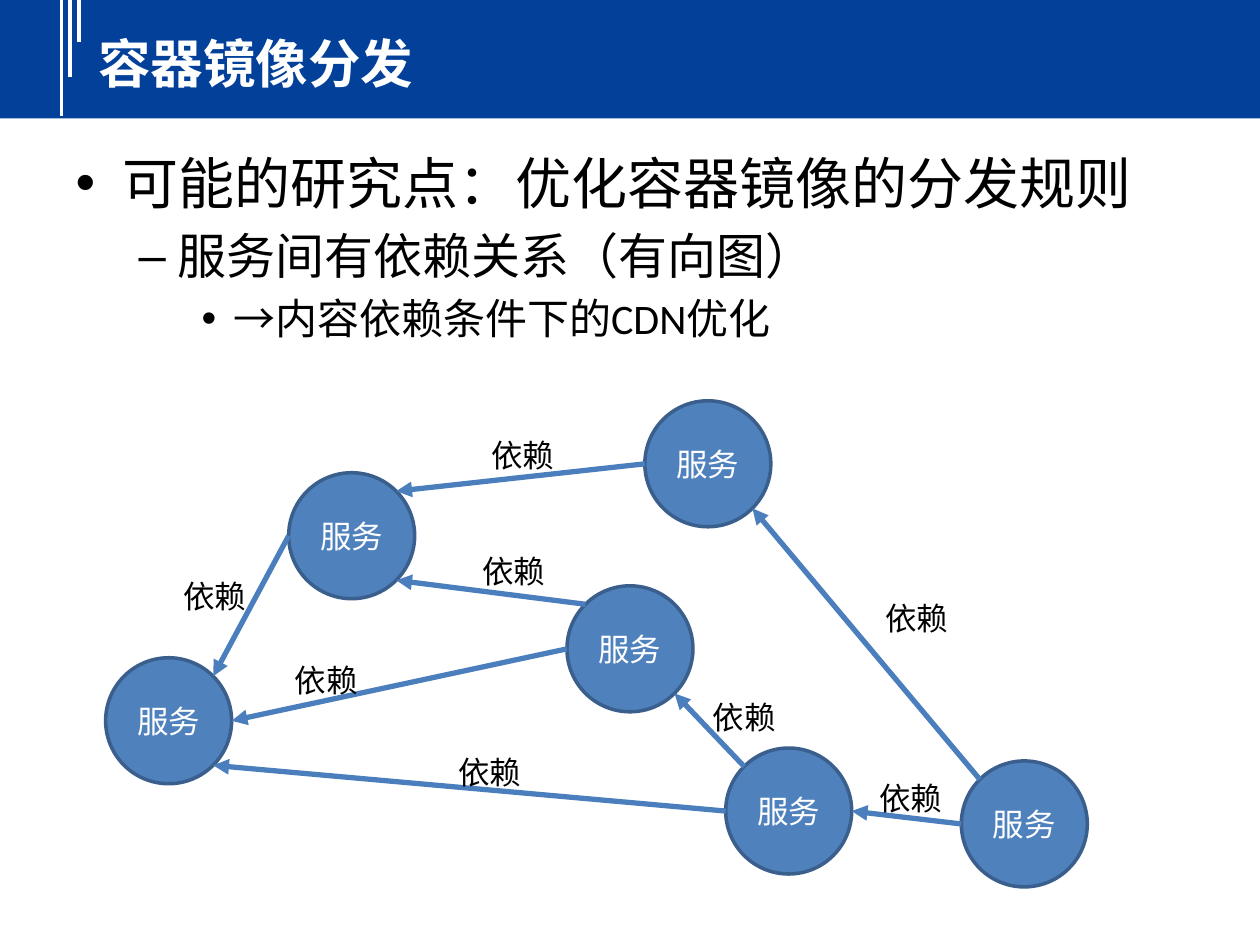
from dataclasses import dataclass
from math import cos, radians, sin

from lxml.etree import SubElement
from pptx import Presentation
from pptx.dml.color import RGBColor
from pptx.enum.shapes import MSO_CONNECTOR, MSO_SHAPE
from pptx.enum.text import MSO_ANCHOR, MSO_AUTO_SIZE, PP_ALIGN
from pptx.oxml.ns import qn
from pptx.util import Cm, Pt

# Content
TITLE = "容器镜像分发"
POINTS = ["可能的研究点：优化容器镜像的分发规则", "服务间有依赖关系（有向图）", "→内容依赖条件下的CDN优化"]
SERVICE, DEPENDENCY = "服务", "依赖"

# Service circles: left and top in cm
SERVICES = {
    "C": (11.43, 11.81),
    "D": (13.0, 8.08),
    "E": (14.63, 15.08),
    "F": (19.38, 15.34),
    "B": (5.82, 9.53),
    "A": (2.13, 13.26),
}

# Connection sites of an ellipse, counted counter-clockwise from the top
TOP_LEFT, LEFT, BOTTOM_RIGHT, RIGHT, TOP_RIGHT = 1, 2, 5, 6, 7

# From service and site, to service and site, left and top of the label in cm
DEPENDENCIES = [
    ("B", LEFT, "A", TOP_RIGHT, (3.45, 11.51)),
    ("C", LEFT, "A", RIGHT, (5.69, 13.21)),
    ("D", LEFT, "B", TOP_RIGHT, (9.65, 8.66)),
    ("E", TOP_LEFT, "C", BOTTOM_RIGHT, (14.12, 13.94)),
    ("E", LEFT, "A", BOTTOM_RIGHT, (8.99, 15.06)),
    ("F", TOP_LEFT, "D", BOTTOM_RIGHT, (17.6, 11.96)),
    ("C", TOP_LEFT, "B", BOTTOM_RIGHT, (9.47, 11.0)),
    ("F", LEFT, "E", RIGHT, (17.48, 15.57)),
]

SLIDE_WIDTH, SLIDE_HEIGHT = 25.4, 19.05
TITLE_BOX = (1.73, 0.48, 23.16, 1.55)
BODY_BOX = (1.27, 2.87, 22.86, 14.15)
BAND_HEIGHT = 2.39
STRIPE_LEFT, STRIPE_STEP = 1.24, 0.18
STRIPE_LENGTHS = [2.34, 1.55, 0.84]
DIAMETER = 2.54
LABEL_SIZE = (1.8, 1.02)


@dataclass(frozen=True)
class Theme:
    band: RGBColor = RGBColor(0x02, 0x40, 0x9A)
    circle: RGBColor = RGBColor(0x4F, 0x81, 0xBD)
    outline: RGBColor = RGBColor(0x3A, 0x5F, 0x8C)
    arrow: RGBColor = RGBColor(0x4B, 0x7E, 0xBC)
    light: RGBColor = RGBColor(0xFF, 0xFF, 0xFF)
    dark: RGBColor = RGBColor(0x00, 0x00, 0x00)
    latin: str = "Calibri"
    chinese: str = "Noto Sans CJK SC"
    title_size: int = 30
    point_sizes: tuple = (32, 28, 24)
    graph_size: int = 18


THEME = Theme()


def format_runs(paragraph, size, color, font=THEME.latin, bold=False):
    for run in paragraph.runs:
        run.font.size, run.font.bold, run.font.name = Pt(size), bold, font
        run.font.color.rgb = color
        latin = run.font._element.find(qn("a:latin"))
        east_asian = latin.makeelement(qn("a:ea"), {"typeface": THEME.chinese})
        latin.addnext(east_asian)


def place(shape, box):
    shape.left, shape.top, shape.width, shape.height = map(Cm, box)


def add_line(shapes, start, end, color, width):
    line = shapes.add_connector(MSO_CONNECTOR.STRAIGHT, *map(Cm, start + end))
    line.line.color.rgb, line.line.width = color, Pt(width)
    SubElement(line.element.spPr, qn("a:effectLst"))
    return line


def add_header(slide):
    header = slide.shapes.add_group_shape()
    band = header.shapes.add_shape(MSO_SHAPE.RECTANGLE, 0, 0, Cm(SLIDE_WIDTH), Cm(BAND_HEIGHT))
    band.shadow.inherit = False
    band.fill.solid()
    band.fill.fore_color.rgb = THEME.band
    band.line.fill.background()
    for index, length in enumerate(STRIPE_LENGTHS):
        x = STRIPE_LEFT + index * STRIPE_STEP
        add_line(header.shapes, (x, 0), (x, length), THEME.light, 2.25)
    # Send the header behind the placeholders
    slide.shapes.title.element.addprevious(header.element)


def add_service(slide, position):
    circle = slide.shapes.add_shape(MSO_SHAPE.OVAL, *map(Cm, position + (DIAMETER, DIAMETER)))
    circle.shadow.inherit = False
    circle.fill.solid()
    circle.fill.fore_color.rgb = THEME.circle
    circle.line.color.rgb, circle.line.width = THEME.outline, Pt(2)
    frame = circle.text_frame
    frame.text, frame.vertical_anchor = SERVICE, MSO_ANCHOR.MIDDLE
    frame.paragraphs[0].alignment = PP_ALIGN.CENTER
    format_runs(frame.paragraphs[0], THEME.graph_size, THEME.light)
    return circle


def site_point(service, site):
    left, top = SERVICES[service]
    radius, angle = DIAMETER / 2, radians(90 + 45 * site)
    return left + radius * (1 + cos(angle)), top + radius * (1 - sin(angle))


def add_dependency(slide, circles, source, source_site, target, target_site):
    arrow = add_line(slide.shapes, site_point(source, source_site),
                     site_point(target, target_site), THEME.arrow, 3)
    SubElement(arrow.line._get_or_add_ln(), qn("a:tailEnd"), type="triangle")
    # Glue both ends to the circles
    glue = arrow.element.find(".//" + qn("p:cNvCxnSpPr"))
    for tag, service, site in (("a:stCxn", source, source_site), ("a:endCxn", target, target_site)):
        SubElement(glue, qn(tag), id=str(circles[service].shape_id), idx=str(site))


def add_label(slide, position):
    label = slide.shapes.add_textbox(*map(Cm, position + LABEL_SIZE))
    frame = label.text_frame
    frame.text, frame.word_wrap = DEPENDENCY, False
    frame.auto_size = MSO_AUTO_SIZE.SHAPE_TO_FIT_TEXT
    format_runs(frame.paragraphs[0], THEME.graph_size, THEME.dark)


def main():
    deck = Presentation()
    deck.slide_width, deck.slide_height = Cm(SLIDE_WIDTH), Cm(SLIDE_HEIGHT)
    slide = deck.slides.add_slide(deck.slide_layouts[1])

    # Title and header band
    title = slide.shapes.title
    place(title, TITLE_BOX)
    title.text_frame.text = TITLE
    title.text_frame.vertical_anchor = MSO_ANCHOR.MIDDLE
    title.text_frame.paragraphs[0].alignment = PP_ALIGN.LEFT
    format_runs(title.text_frame.paragraphs[0], THEME.title_size, THEME.light, THEME.chinese, True)
    add_header(slide)

    # Nested points
    body = slide.placeholders[1]
    place(body, BODY_BOX)
    body.text_frame.text = "\n".join(POINTS)
    for level, paragraph in enumerate(body.text_frame.paragraphs):
        paragraph.level = level
        format_runs(paragraph, THEME.point_sizes[level], THEME.dark)

    # Dependency graph
    circles = {name: add_service(slide, position) for name, position in SERVICES.items()}
    for *ends, _ in DEPENDENCIES:
        add_dependency(slide, circles, *ends)
    for *_, label_position in DEPENDENCIES:
        add_label(slide, label_position)

    deck.save("out.pptx")


if __name__ == "__main__":
    main()
